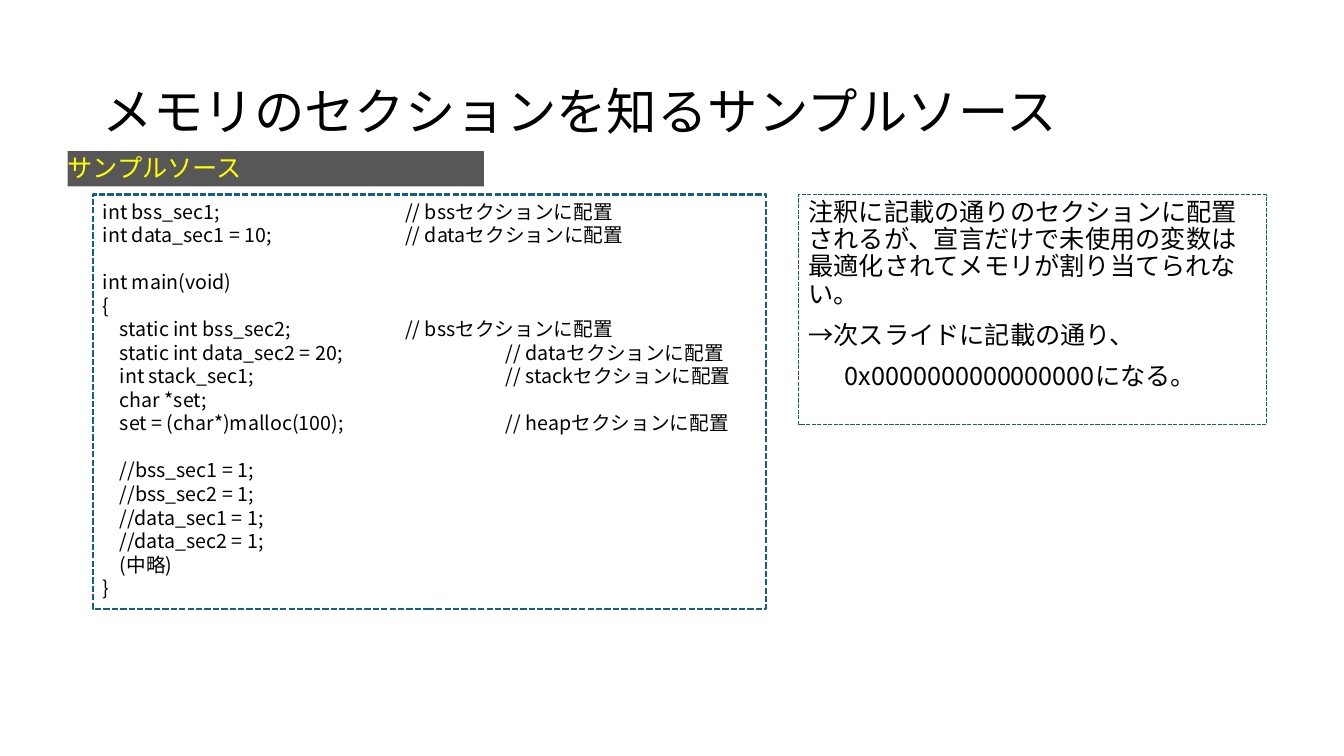
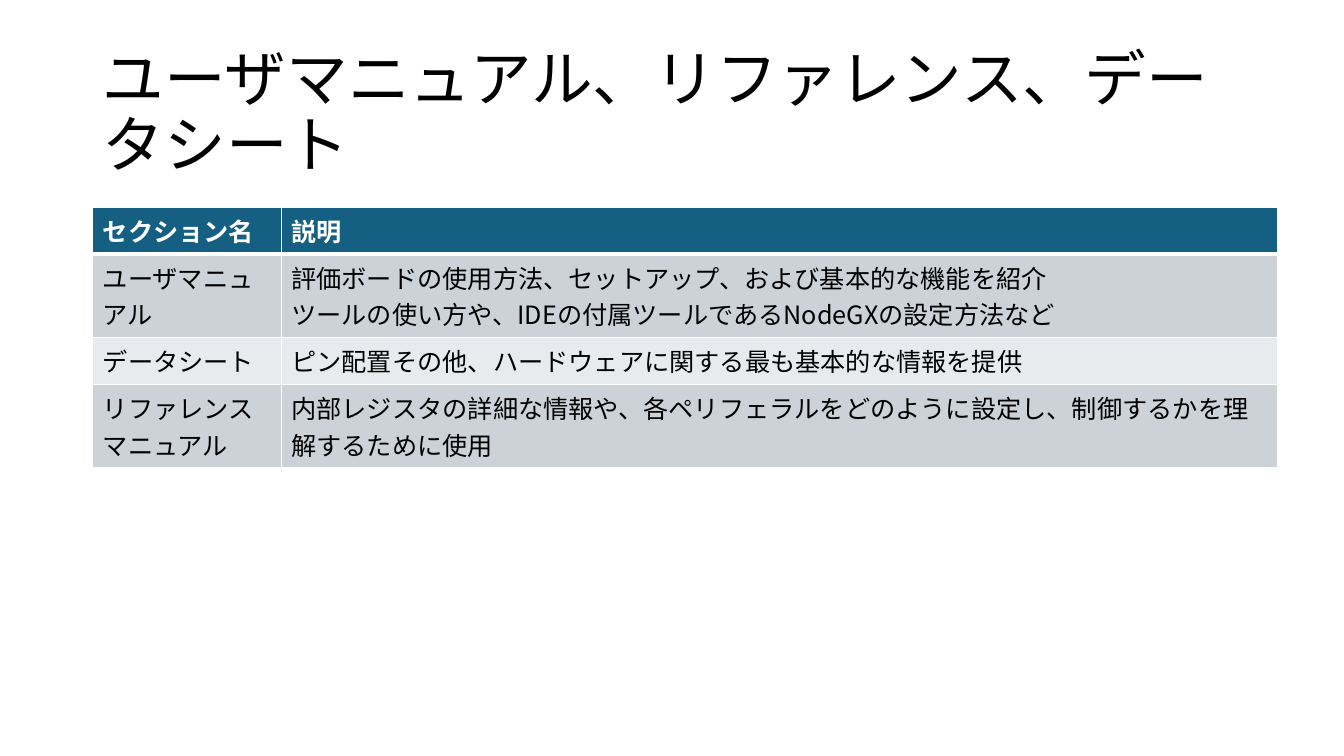
import pptx
import pptx.dml.color
import pptx.enum.dml
import pptx.enum.shapes
import pptx.enum.text
import pptx.oxml.ns
import pptx.util
from lxml import etree

Inches = pptx.util.Inches
Pt = pptx.util.Pt
qn = pptx.oxml.ns.qn

COLORS = {
    "text": "000000",
    "label": "FFFF00",
    "accent": "156082",
    "white": "FFFFFF",
    "band_dark": "CCD2D8",
    "band_light": "E8EAED",
}
FONT = "Noto Sans CJK JP"
TIGHT, SINGLE = 1.08, 1.2  # line pitch as a multiple of the text size
CODE_INDENT = 0.17

# (code, comment, comment tab stop in inches, blank line before)
CODE = [
    ("int bss_sec1;", "// bssセクションに配置", 3, False),
    ("int data_sec1 = 10;", "// dataセクションに配置", 3, False),
    ("int main(void)", "", 3, True),
    ("{", "", 3, False),
    ("\tstatic int bss_sec2;", "// bssセクションに配置", 3, False),
    ("\tstatic int data_sec2 = 20;", "// dataセクションに配置", 4, False),
    ("\tint stack_sec1;", "// stackセクションに配置", 4, False),
    ("\tchar *set;", "", 3, False),
    ("\tset = (char*)malloc(100);", "// heapセクションに配置", 4, False),
    ("\t//bss_sec1 = 1;", "", 3, True),
    ("\t//bss_sec2 = 1;", "", 3, False),
    ("\t//data_sec1 = 1;", "", 3, False),
    ("\t//data_sec2 = 1;", "", 3, False),
    ("\t(中略)", "", 3, False),
    ("}", "", 3, False),
]

# (text, left indent in inches)
NOTE = [
    ("注釈に記載の通りのセクションに配置されるが、宣言だけで未使用の変数は"
     "最適化されてメモリが割り当てられない。", 0),
    ("→次スライドに記載の通り、", 0),
    ("0x0000000000000000になる。", 0.36),
]

MANUALS = [
    ["セクション名", "説明"],
    ["ユーザマニュアル",
     "評価ボードの使用方法、セットアップ、および基本的な機能を紹介\n"
     "ツールの使い方や、IDEの付属ツールであるNodeGXの設定方法など"],
    ["データシート", "ピン配置その他、ハードウェアに関する最も基本的な情報を提供"],
    ["リファレンスマニュアル",
     "内部レジスタの詳細な情報や、各ペリフェラルをどのように設定し、"
     "制御するかを理解するために使用"],
]


def rgb(name):
    return pptx.dml.color.RGBColor.from_string(COLORS[name])


class Deck:
    def __init__(self):
        self.prs = pptx.Presentation()
        self.prs.slide_width = Inches(13.33)
        self.prs.slide_height = Inches(7.5)
        self.slide = None

    def add_slide(self, title, size):
        self.slide = self.prs.slides.add_slide(self.prs.slide_layouts[5])
        sp = self.slide.shapes.title
        sp.left, sp.top = Inches(0.92), Inches(0.4)
        sp.width, sp.height = Inches(11.5), Inches(1.45)
        tf = sp.text_frame
        tf.auto_size = pptx.enum.text.MSO_AUTO_SIZE.NONE
        tf.vertical_anchor = pptx.enum.text.MSO_ANCHOR.MIDDLE
        self.add_text(tf.paragraphs[0], title, size, pitch=TIGHT)

    def add_text(self, p, text, size, color="text", bold=False, pitch=None):
        p.alignment = pptx.enum.text.PP_ALIGN.LEFT
        if pitch:
            p.line_spacing = Pt(round(size * pitch, 1))
        r = p.add_run()
        r.text = text
        r.font.size = Pt(size)
        r.font.name = FONT
        r.font.bold = bold
        r.font.color.rgb = rgb(color)
        ea = etree.SubElement(r.font._element, qn("a:ea"))
        ea.set("typeface", FONT)

    def paragraphs(self, tf, count):
        """Yield count paragraphs, starting with the one already there."""
        for i in range(count):
            yield tf.paragraphs[0] if i == 0 else tf.add_paragraph()

    def rect(self, left, top, width, height):
        sp = self.slide.shapes.add_shape(
            pptx.enum.shapes.MSO_SHAPE.RECTANGLE,
            Inches(left), Inches(top), Inches(width), Inches(height))
        sp.shadow.inherit = False
        sp.text_frame.word_wrap = True
        return sp

    def label(self, text, left, top, width, height):
        sp = self.rect(left, top, width, height)
        sp.fill.solid()
        sp.fill.fore_color.rgb = rgb("text")
        clr = sp._element.spPr.find(qn("a:solidFill"))[0]
        etree.SubElement(clr, qn("a:alpha")).set("val", "66000")
        sp.line.fill.background()
        tf = sp.text_frame
        tf.margin_left = tf.margin_right = tf.margin_top = tf.margin_bottom = 0
        tf.vertical_anchor = pptx.enum.text.MSO_ANCHOR.MIDDLE
        self.add_text(tf.paragraphs[0], text, 18, "label", pitch=TIGHT)

    def dashed_box(self, left, top, width, height, line_width):
        sp = self.rect(left, top, width, height)
        sp.fill.background()
        sp.line.color.rgb = rgb("accent")
        sp.line.width = Pt(line_width)
        sp.line.dash_style = pptx.enum.dml.MSO_LINE.SQUARE_DOT
        sp.text_frame.vertical_anchor = pptx.enum.text.MSO_ANCHOR.TOP
        return sp.text_frame

    def code(self, tf, lines, size=14):
        for p, (text, comment, stop, blank) in zip(
                self.paragraphs(tf, len(lines)), lines):
            if blank:
                p.space_before = Pt(round(size * SINGLE, 1))
            self.add_text(p, text, size, pitch=SINGLE)
            if comment:
                self.add_text(p, "\t" + comment, size, pitch=SINGLE)
            tabs = etree.SubElement(p._p.get_or_add_pPr(), qn("a:tabLst"))
            for pos in (CODE_INDENT, stop):
                tab = etree.SubElement(tabs, qn("a:tab"))
                tab.set("pos", str(Inches(pos)))
                tab.set("algn", "l")

    def note(self, tf, lines, size=18):
        for i, (p, (text, indent)) in enumerate(
                zip(self.paragraphs(tf, len(lines)), lines)):
            if i:
                p.space_before = Pt(10)
            self.add_text(p, text, size, pitch=TIGHT)
            if indent:
                p._p.get_or_add_pPr().set("marL", str(Inches(indent)))

    def borders(self, cell, widths):
        """Draw white borders; widths maps a side (L, R, T, B) to points."""
        tcPr = cell._tc.get_or_add_tcPr()
        for side, width in widths.items():
            ln = etree.SubElement(tcPr, qn("a:ln" + side))
            ln.set("w", str(Pt(width)))
            fill = etree.SubElement(ln, qn("a:solidFill"))
            etree.SubElement(fill, qn("a:srgbClr")).set("val", COLORS["white"])

    def table(self, rows, left, top, widths, heights, size=18):
        tbl = self.slide.shapes.add_table(
            len(rows), len(widths), Inches(left), Inches(top),
            Inches(sum(widths)), Inches(sum(heights))).table
        for column, width in zip(tbl.columns, widths):
            column.width = Inches(width)
        for i, (row, height) in enumerate(zip(rows, heights)):
            tbl.rows[i].height = Inches(height)
            header = i == 0
            band = "band_dark" if i % 2 else "band_light"
            for j, text in enumerate(row):
                cell = tbl.cell(i, j)
                self.borders(cell, {"L": 1, "R": 1, "T": 3 if i == 1 else 1,
                                    "B": 3 if header else 1})
                cell.fill.solid()
                cell.fill.fore_color.rgb = rgb("accent" if header else band)
                lines = text.split("\n")
                for p, line in zip(
                        self.paragraphs(cell.text_frame, len(lines)), lines):
                    self.add_text(p, line, size,
                                  "white" if header else "text", header)


def main():
    deck = Deck()

    deck.add_slide("メモリのセクションを知るサンプルソース", 36)
    deck.label("サンプルソース", 0.67, 1.5, 4.13, 0.35)
    deck.code(deck.dashed_box(0.92, 1.93, 6.68, 4.11, 1.5), CODE)
    deck.note(deck.dashed_box(7.92, 1.93, 4.64, 2.28, 1), NOTE)

    deck.add_slide("ユーザマニュアル、リファレンス、データシート", 44)
    deck.table(MANUALS, 0.92, 2.06, [1.87, 9.88], [0.46, 0.82, 0.47, 0.82])

    deck.prs.save("out.pptx")


if __name__ == "__main__":
    main()
